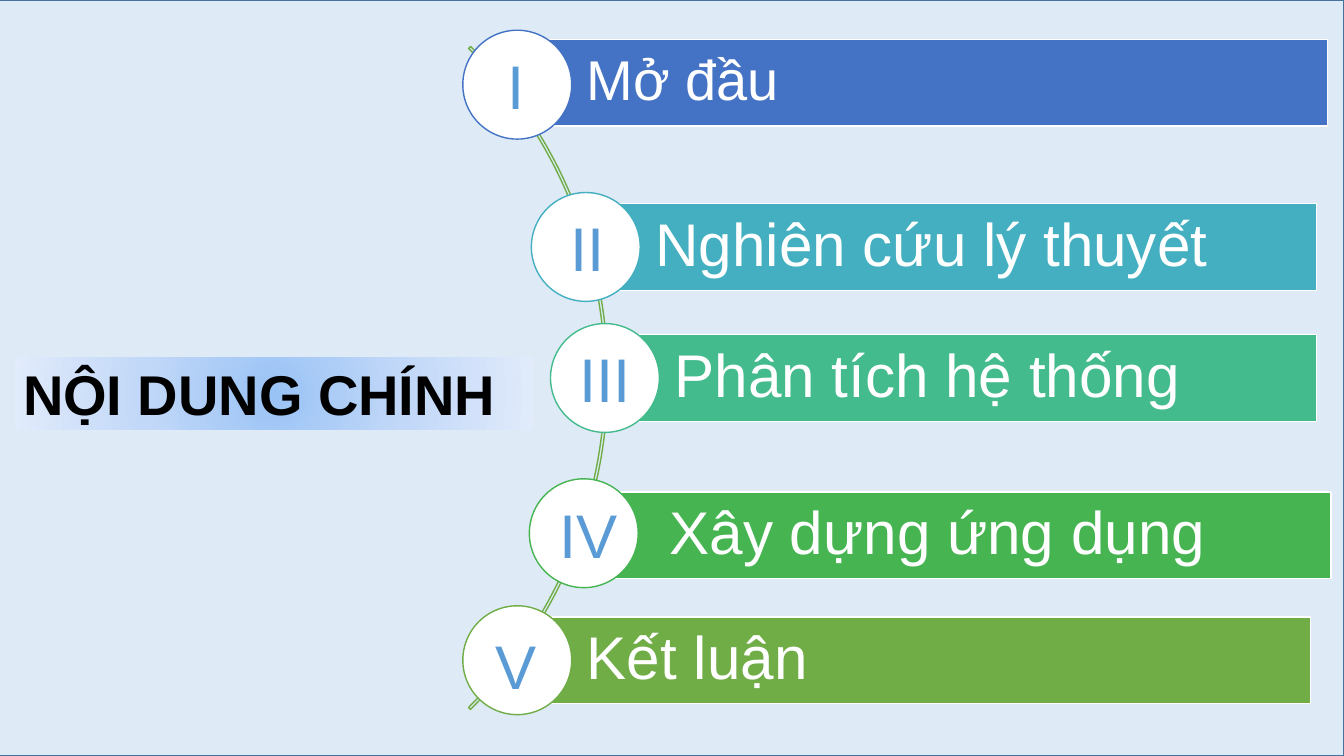
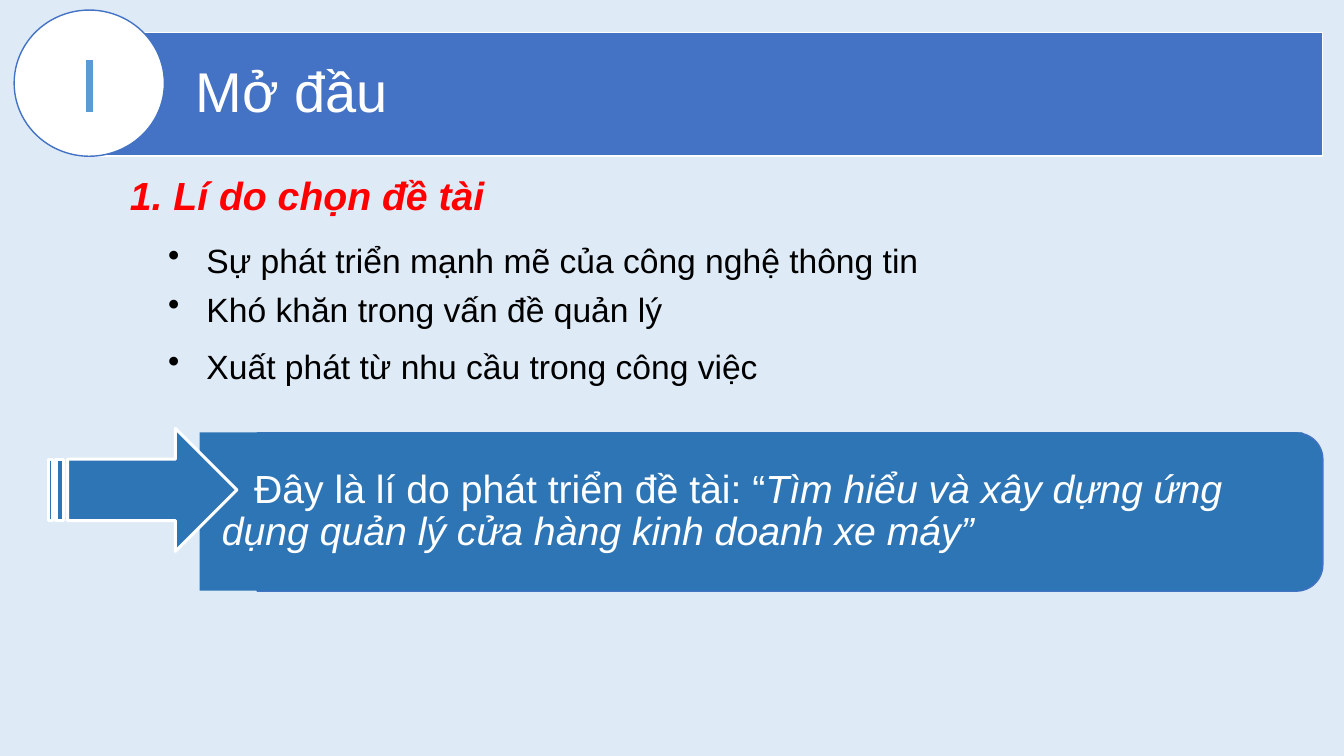
from dataclasses import dataclass

from lxml.etree import SubElement
from pptx import Presentation
from pptx.dml.color import RGBColor
from pptx.enum.shapes import MSO_SHAPE
from pptx.enum.text import MSO_ANCHOR, MSO_AUTO_SIZE, PP_ALIGN
from pptx.oxml import parse_xml
from pptx.oxml.ns import nsdecls, qn
from pptx.util import Inches, Pt

FONT = "Arial"
PALE = RGBColor(0xDE, 0xEB, 0xF7)
FRAME = RGBColor(0x43, 0x73, 0x9E)
WHITE = RGBColor(0xFF, 0xFF, 0xFF)
BLACK = RGBColor(0x00, 0x00, 0x00)
RED = RGBColor(0xFF, 0x00, 0x00)
SKY = RGBColor(0x5B, 0x9B, 0xD5)
BLUE = RGBColor(0x44, 0x72, 0xC4)
DEEP_BLUE = RGBColor(0x2E, 0x75, 0xB6)
TEAL = RGBColor(0x43, 0xAF, 0xC0)
MINT = RGBColor(0x43, 0xBB, 0x8D)
GREEN = RGBColor(0x45, 0xB4, 0x51)
OLIVE = RGBColor(0x70, 0xAD, 0x47)
GLOW = (
    (0, RGBColor(0x9A, 0xC3, 0xF5)),
    (50, RGBColor(0xC2, 0xD8, 0xF8)),
    (100, RGBColor(0xE1, 0xEB, 0xFB)),
)
BOX_INSETS = (0.1, 0.05, 0.1, 0.05)


@dataclass
class Chapter:
    """One agenda entry: bar and numeral are (left, top, width), circle is (left, top)."""
    numeral: str
    title: str
    size: int
    color: RGBColor
    bar: tuple
    circle: tuple
    numeral_box: tuple


CHAPTERS = (
    Chapter("I", "Mở đầu", 40, BLUE, (5.13, 0.39, 8.04), (4.59, 0.3), (4.82, 0.43, 0.6)),
    Chapter("II", "Nghiên cứu lý thuyết", 43, TEAL,
            (5.81, 2.02, 7.25), (5.27, 1.91), (5.53, 2.03, 0.6)),
    Chapter("III", "Phân tích hệ thống", 43, MINT,
            (6, 3.32, 7.06), (5.46, 3.21), (5.63, 3.33, 0.75)),
    Chapter("IV", "Xây dựng ứng dụng", 43, GREEN,
            (5.95, 4.88, 7.25), (5.25, 4.75), (5.33, 4.88, 1.01)),
    Chapter("V", "Kết luận", 43, OLIVE, (5.13, 6.12, 7.87), (4.59, 6.01), (4.82, 6.18, 0.6)),
)
REASONS = (
    "Sự phát triển mạnh mẽ của công nghệ thông tin",
    "Khó khăn trong vấn đề quản lý",
    "Xuất phát từ nhu cầu trong công việc",
)


class Painter:
    """Holds the shared style and the slide being drawn."""

    def __init__(self):
        self.deck = Presentation()
        self.deck.slide_width = Inches(13.33)
        self.deck.slide_height = Inches(7.5)
        self.page = None

    def new_page(self, color):
        self.page = self.deck.slides.add_slide(self.deck.slide_layouts[6])
        self.page.background.fill.solid()
        self.page.background.fill.fore_color.rgb = color

    def shape(self, kind, left, top, width, height, fill=None, line=None, weight=1):
        shape = self.page.shapes.add_shape(
            kind, Inches(left), Inches(top), Inches(width), Inches(height))
        shape.shadow.inherit = False
        if fill is None:
            shape.fill.background()
        else:
            shape.fill.solid()
            shape.fill.fore_color.rgb = fill
        if line is None:
            shape.line.fill.background()
        else:
            shape.line.color.rgb = line
            shape.line.width = Pt(weight)
        return shape

    def frame(self, shape, insets, anchor=MSO_ANCHOR.TOP):
        """Prepare the text frame of a shape; insets are left, top, right, bottom."""
        frame = shape.text_frame
        frame.word_wrap = True
        frame.vertical_anchor = anchor
        (frame.margin_left, frame.margin_top,
         frame.margin_right, frame.margin_bottom) = map(Inches, insets)
        return frame

    def style(self, para, size, color, bold=False, italic=None, align=PP_ALIGN.LEFT):
        para.alignment = align
        para.font.name = FONT
        para.font.size = Pt(size)
        para.font.color.rgb = color
        para.font.bold = bold
        para.font.italic = italic

    def text_box(self, left, top, width, height):
        box = self.page.shapes.add_textbox(
            Inches(left), Inches(top), Inches(width), Inches(height))
        frame = self.frame(box, BOX_INSETS)
        frame.auto_size = MSO_AUTO_SIZE.SHAPE_TO_FIT_TEXT
        return frame

    def label(self, left, top, width, height, text, size, color, **style):
        para = self.text_box(left, top, width, height).paragraphs[0]
        para.text = text
        self.style(para, size, color, **style)

    def bar(self, left, top, width, height, text, size, color, indent=0.69):
        bar = self.shape(MSO_SHAPE.RECTANGLE, left, top, width, height, color, WHITE)
        para = self.frame(bar, (indent, 0.11, 0.11, 0.11), MSO_ANCHOR.MIDDLE).paragraphs[0]
        para.text = text
        para.line_spacing = 0.9
        self.style(para, size, WHITE)

    def circle(self, left, top, width, height, color):
        self.shape(MSO_SHAPE.OVAL, left, top, width, height, WHITE, color)

    def numeral(self, left, top, width, height, text, size):
        self.label(left, top, width, height, text, size, SKY, align=PP_ALIGN.CENTER)

    def bullets(self, left, top, width, height, items, size):
        frame = self.text_box(left, top, width, height)
        for index, item in enumerate(items):
            para = frame.add_paragraph() if index else frame.paragraphs[0]
            para.text = item
            self.style(para, size, BLACK)
            if index:
                para.space_before = para.space_after = Pt(6)
            properties = para._p.get_or_add_pPr()
            properties.set("marL", str(Inches(0.38)))
            properties.set("indent", str(-Inches(0.38)))
            mark = SubElement(properties, qn("a:buChar"))
            mark.set("char", "•")
            default_run = properties.find(qn("a:defRPr"))
            if default_run is not None:
                default_run.addprevious(mark)

    def glowing_title(self, left, top, width, height, text):
        title = self.shape(MSO_SHAPE.RECTANGLE, left, top, width, height, PALE, PALE, 3)
        stops = "".join(
            f'<a:gs pos="{place * 1000}"><a:srgbClr val="{color}"/></a:gs>'
            for place, color in GLOW)
        gradient = parse_xml(
            f'<a:gradFill {nsdecls("a")} rotWithShape="1"><a:gsLst>{stops}</a:gsLst>'
            '<a:path path="circle"><a:fillToRect l="50000" t="50000" r="50000" b="50000"/>'
            '</a:path></a:gradFill>')
        solid = title._element.spPr.find(qn("a:solidFill"))
        solid.getparent().replace(solid, gradient)
        frame = self.frame(title, BOX_INSETS)
        frame.auto_size = MSO_AUTO_SIZE.SHAPE_TO_FIT_TEXT
        frame.text = text
        self.style(frame.paragraphs[0], 40, BLACK, bold=True)

    def callout(self, lead, topic):
        """Draw the conclusion panel, rounded on its right side."""
        panel = self.shape(MSO_SHAPE.ROUND_2_SAME_RECTANGLE,
                           7.05, -0.21, 1.57, 10.57, DEEP_BLUE, BLUE)
        panel.top = Inches(5.08 - 10.57 / 2)
        panel.rotation = 90
        body = self.shape(MSO_SHAPE.RECTANGLE, 1.98, 4.29, 10.94, 1.57, DEEP_BLUE)
        para = self.frame(body, (0.22, 0.02, 0.02, 0.02), MSO_ANCHOR.MIDDLE).paragraphs[0]
        self.style(para, 28, WHITE)
        para.line_spacing = 0.9
        para._p.get_or_add_pPr().set("indent", str(Inches(0.32)))
        para.add_run().text = lead
        span = para.add_run()
        span.text = topic
        span.font.italic = True


def draw_agenda(painter):
    painter.new_page(WHITE)
    painter.shape(MSO_SHAPE.RECTANGLE, -0.18, 0, 13.51, 7.5, PALE, FRAME)
    painter.glowing_title(0.13, 3.52, 5.18, 0.77, "NỘI DUNG CHÍNH")
    arc = painter.shape(MSO_SHAPE.BLOCK_ARC, -3.27, -0.9, 9.3, 9.3, line=OLIVE)
    for index, value in enumerate((189, 27, 0.003)):
        arc.adjustments[index] = value
    for chapter in CHAPTERS:
        painter.bar(*chapter.bar, 0.86, chapter.title, chapter.size, chapter.color)
        painter.circle(*chapter.circle, 1.08, 1.08, chapter.color)
        painter.numeral(*chapter.numeral_box, 0.84, chapter.numeral, 44)


def draw_opening(painter):
    chapter = CHAPTERS[0]
    painter.new_page(PALE)
    painter.callout("Đây là lí do phát triển đề tài: “",
                    "Tìm hiểu và xây dựng ứng dụng quản lý cửa hàng kinh doanh xe máy”")
    painter.bar(0.89, 0.32, 12.23, 1.23, chapter.title, 40, chapter.color, indent=1.05)
    painter.circle(0.14, 0.1, 1.49, 1.45, chapter.color)
    painter.numeral(0.59, 0.32, 0.6, 1.01, chapter.numeral, 54)
    painter.shape(MSO_SHAPE.STRIPED_RIGHT_ARROW, 0.48, 4.25, 1.87, 1.22, DEEP_BLUE, WHITE, 2.25)
    painter.label(1.19, 1.65, 7.59, 0.57, "1. Lí do chọn đề tài", 28, RED, bold=True, italic=True)
    painter.bullets(1.57, 2.33, 7.67, 2.05, REASONS, 24)


def main():
    painter = Painter()
    draw_agenda(painter)
    draw_opening(painter)
    painter.deck.save("out.pptx")


if __name__ == "__main__":
    main()
